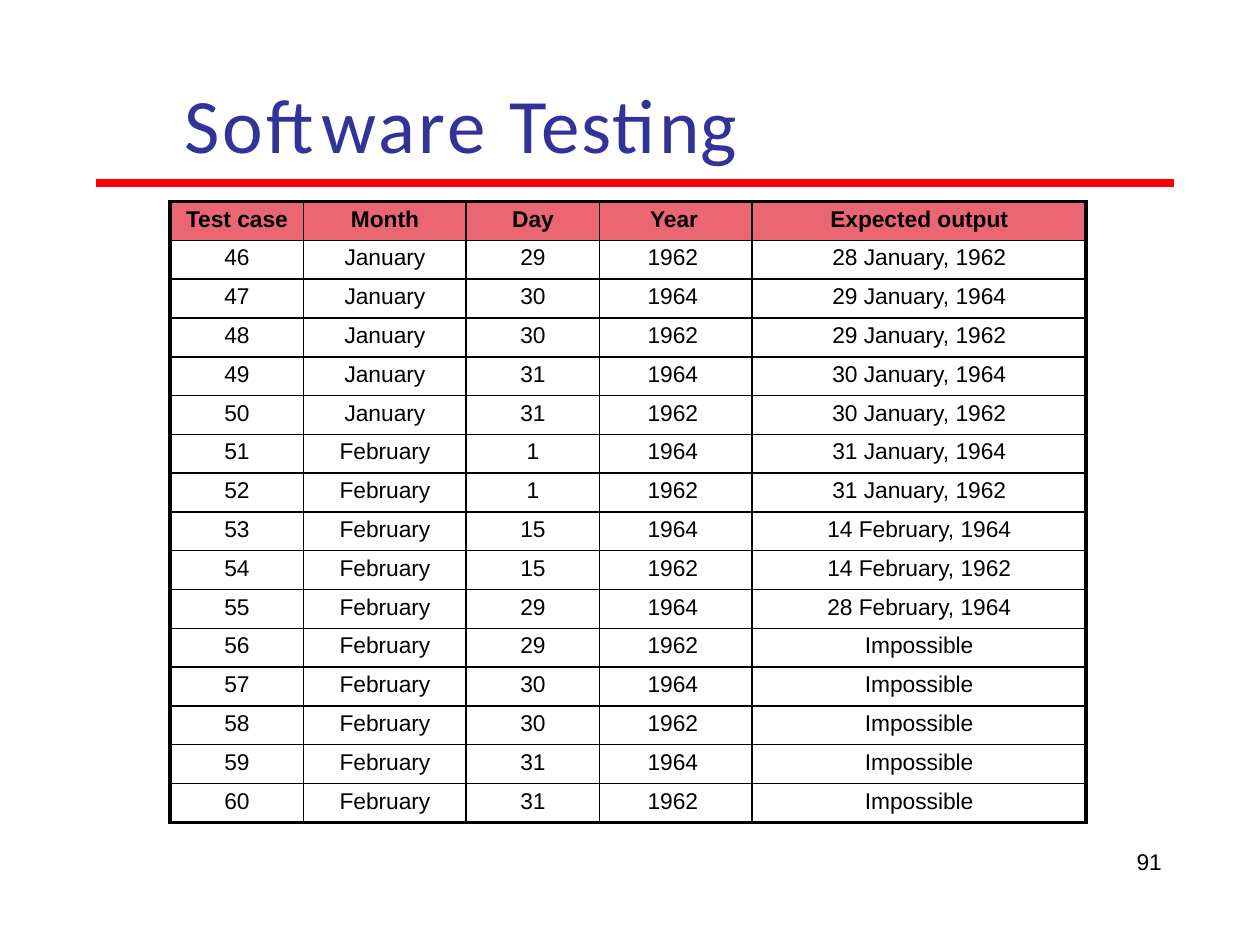
"""Build the software testing slide with its table of test cases."""
from lxml.etree import SubElement
from pptx import Presentation
from pptx.dml.color import RGBColor
from pptx.enum.shapes import MSO_CONNECTOR
from pptx.enum.text import MSO_ANCHOR, PP_ALIGN
from pptx.oxml import parse_xml
from pptx.oxml.ns import nsdecls, qn
from pptx.util import Inches, Pt

BLUE = RGBColor(0x32, 0x32, 0x99)
RED = RGBColor(0xFF, 0x00, 0x00)
PINK = RGBColor(0xEB, 0x66, 0x73)
BLACK = RGBColor(0x00, 0x00, 0x00)

TITLE = [("Software ", 170), ("Testing", 90)]
PAGE_NUMBER = "91"
HEADERS = ["Test case", "Month", "Day", "Year", "Expected output"]
FIRST_CASE = 46
CASES = [
    ("January", "29", "1962", "28 January, 1962"),
    ("January", "30", "1964", "29 January, 1964"),
    ("January", "30", "1962", "29 January, 1962"),
    ("January", "31", "1964", "30 January, 1964"),
    ("January", "31", "1962", "30 January, 1962"),
    ("February", "1", "1964", "31 January, 1964"),
    ("February", "1", "1962", "31 January, 1962"),
    ("February", "15", "1964", "14 February, 1964"),
    ("February", "15", "1962", "14 February, 1962"),
    ("February", "29", "1964", "28 February, 1964"),
    ("February", "29", "1962", "Impossible"),
    ("February", "30", "1964", "Impossible"),
    ("February", "30", "1962", "Impossible"),
    ("February", "31", "1964", "Impossible"),
    ("February", "31", "1962", "Impossible"),
]
COLUMN_WIDTHS = [1.06, 1.29, 1.06, 1.21, 2.65]
YEAR_COLUMN = HEADERS.index("Year")
YEAR_INDENT = 0.43
TABLE_HEIGHT = 4.93
THICK, THIN = 2.25, 1


def style_font(font, name, size, color, bold=False):
    font.name, font.size, font.bold = name, Pt(size), bold
    font.color.rgb = color


def add_box(slide, left, top, width, height, top_margin=0):
    box = slide.shapes.add_textbox(Inches(left), Inches(top), Inches(width), Inches(height))
    frame = box.text_frame
    frame.word_wrap = True
    frame.margin_left = frame.margin_right = frame.margin_bottom = 0
    frame.margin_top = Inches(top_margin)
    return frame


def add_title(slide):
    frame = add_box(slide, 0.78, 0.59, 5.76, 0.75, 0.01)
    frame.vertical_anchor = MSO_ANCHOR.MIDDLE
    para = frame.paragraphs[0]
    para.alignment = PP_ALIGN.CENTER
    for text, spacing in TITLE:
        span = para.add_run()
        span.text = text
        style_font(span.font, "Calibri", 44, BLUE)
        span.font._element.set("spc", str(spacing))


def add_rule(slide):
    rule = slide.shapes.add_connector(
        MSO_CONNECTOR.STRAIGHT, Inches(0.76), Inches(1.45), Inches(9.32), Inches(1.45))
    rule.line.color.rgb = RED
    rule.line.width = Pt(4.5)
    SubElement(rule._element.spPr, qn("a:effectLst"))


def set_borders(cell, widths):
    properties = cell._tc.get_or_add_tcPr()
    for position, (side, width) in enumerate(widths.items()):
        properties.insert(position, parse_xml(
            f'<a:ln{side} {nsdecls("a")} w="{Pt(width)}"><a:solidFill>'
            f'<a:srgbClr val="{BLACK}"/></a:solidFill></a:ln{side}>'))


def fill_cell(cell, text, is_header, is_year):
    cell.margin_left = cell.margin_right = cell.margin_bottom = 0
    cell.margin_top = Inches(0.04)
    cell.text_frame.text = text
    para = cell.text_frame.paragraphs[0]
    para.space_before = Pt(3.2)
    para.alignment = PP_ALIGN.RIGHT if is_year else PP_ALIGN.CENTER
    if is_year:
        para._p.get_or_add_pPr().set("marR", str(Inches(YEAR_INDENT)))
    style_font(para.runs[0].font, "Arial", 13, BLACK, is_header)
    if is_header:
        cell.fill.solid()
        cell.fill.fore_color.rgb = PINK
    else:
        cell.fill.background()


def add_case_table(slide):
    rows = [HEADERS] + [(str(FIRST_CASE + i), *case) for i, case in enumerate(CASES)]
    last_row, last_column = len(rows) - 1, len(HEADERS) - 1
    table = slide.shapes.add_table(
        len(rows), len(HEADERS), Inches(1.35), Inches(1.6),
        Inches(sum(COLUMN_WIDTHS)), Inches(TABLE_HEIGHT)).table
    table.first_row = table.horz_banding = False
    for column, width in zip(table.columns, COLUMN_WIDTHS):
        column.width = Inches(width)
    for r, values in enumerate(rows):
        table.rows[r].height = Inches(TABLE_HEIGHT / len(rows))
        for c, text in enumerate(values):
            cell = table.cell(r, c)
            fill_cell(cell, text, r == 0, c == YEAR_COLUMN)
            set_borders(cell, {
                "L": THICK if c == 0 else THIN,
                "R": THICK if c == last_column else THIN,
                "T": THICK if r == 0 else THIN,
                "B": THICK if r == last_row else THIN,
            })


def add_page_number(slide):
    frame = add_box(slide, 9, 6.76, 0.25, 0.18)
    frame.text = PAGE_NUMBER
    para = frame.paragraphs[0]
    para.line_spacing = Pt(13.2)
    para._p.get_or_add_pPr().set("marL", str(Inches(0.02)))
    style_font(para.runs[0].font, "Arial", 13, BLACK)


def main():
    deck = Presentation()
    deck.slide_width, deck.slide_height = Inches(10), Inches(7.5)
    slide = deck.slides.add_slide(deck.slide_layouts[6])
    add_title(slide)
    add_rule(slide)
    add_case_table(slide)
    add_page_number(slide)
    deck.save("out.pptx")


if __name__ == "__main__":
    main()
